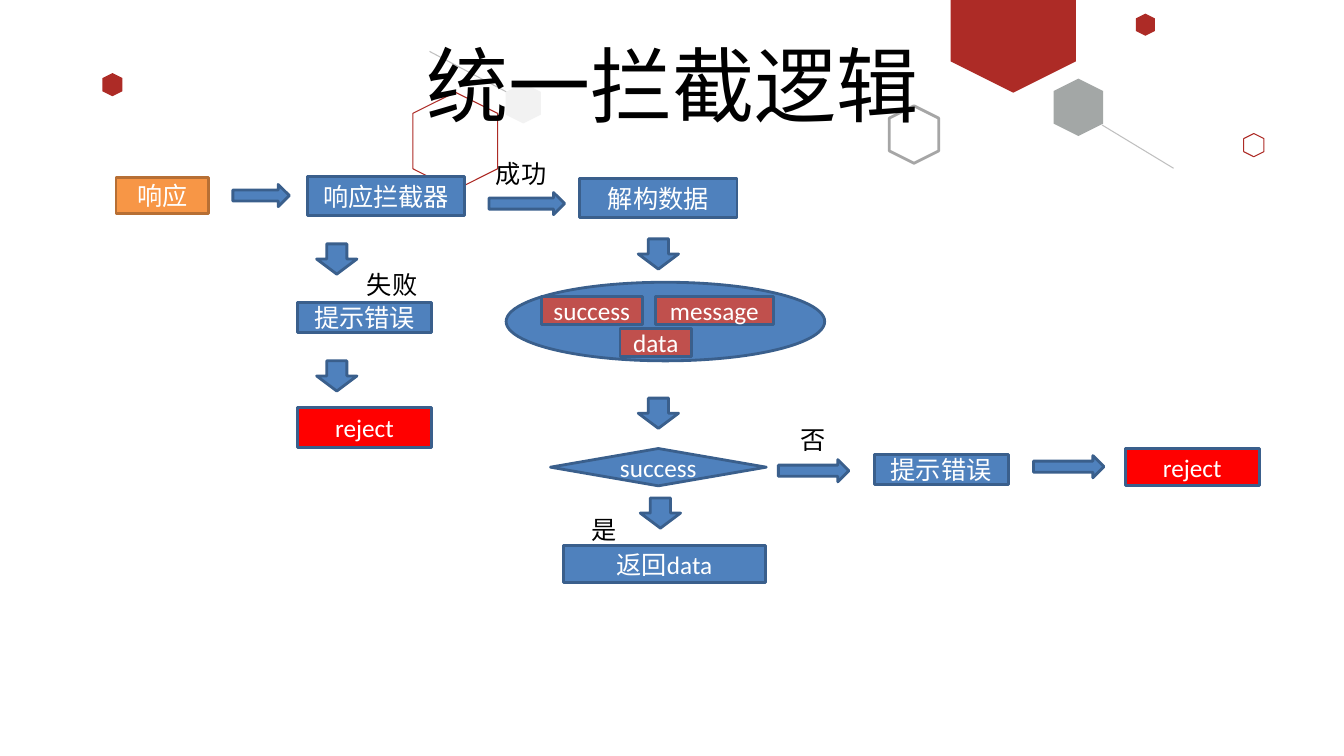
from lxml import etree
from pptx import Presentation
from pptx.dml.color import RGBColor
from pptx.enum.shapes import MSO_CONNECTOR, MSO_SHAPE as SHAPE
from pptx.enum.text import MSO_ANCHOR, PP_ALIGN
from pptx.oxml.ns import qn
from pptx.util import Inches, Pt

WHITE = RGBColor(0xFF, 0xFF, 0xFF)
BLACK = RGBColor(0, 0, 0)
BLUE = RGBColor(0x4F, 0x81, 0xBD)
NAVY = RGBColor(0x3A, 0x5F, 0x8C)
ORANGE = RGBColor(0xF7, 0x96, 0x46)
BROWN = RGBColor(0xB7, 0x6F, 0x34)
BRICK = RGBColor(0xC0, 0x50, 0x4D)
RED = RGBColor(0xFF, 0, 0)
CRIMSON = RGBColor(0xAD, 0x2B, 0x26)
SLATE = RGBColor(0x49, 0x50, 0x4F)
GREY = RGBColor(0xA6, 0xA6, 0xA6)
SILVER = RGBColor(0xBF, 0xBF, 0xBF)
PALE = RGBColor(0xF2, 0xF2, 0xF2)

BODY_FONT = "Calibri"
TITLE_FONT = "Noto Sans CJK JP"


def style(s, fill=None, line=None, width=2):
    s.shadow.inherit = False
    if fill is None:
        s.fill.background()
    else:
        s.fill.solid()
        s.fill.fore_color.rgb = fill
    if line is None:
        s.line.fill.background()
    else:
        s.line.color.rgb = line
        s.line.width = Pt(width)


def write(s, text, color, align, size=18, font=BODY_FONT):
    p = s.text_frame.paragraphs[0]
    p.text = text
    p.alignment = align
    p.font.size = Pt(size)
    p.font.name = font
    p.font.color.rgb = color
    return p


def node(shapes, x, y, w, h, text="", fill=BLUE, line=NAVY, kind=SHAPE.RECTANGLE):
    s = shapes.add_shape(kind, Inches(x), Inches(y), Inches(w), Inches(h))
    style(s, fill, line)
    if text:
        s.text_frame.vertical_anchor = MSO_ANCHOR.MIDDLE
        write(s, text, WHITE, PP_ALIGN.CENTER)
    return s


def right_arrow(shapes, x, y, w, h=0.22):
    return node(shapes, x, y, w, h, kind=SHAPE.RIGHT_ARROW)


def down_arrow(shapes, x, y):
    right_arrow(shapes, x, y, 0.3, 0.4).rotation = 90


def label(shapes, x, y, text):
    s = shapes.add_textbox(Inches(x), Inches(y), Inches(0.2 + 0.255 * len(text)), Inches(0.4))
    s.text_frame.word_wrap = True
    write(s, text, BLACK, PP_ALIGN.LEFT)


def hexagon(shapes, x, y, w, h, fill=None, line=None, width=0.75):
    s = shapes.add_shape(SHAPE.HEXAGON, Inches(x), Inches(y), Inches(w), Inches(h))
    s.rotation = 90
    style(s, fill, line, width)
    return s


def decoration(shapes, width):
    """Hexagons and thin lines across the top band."""
    right, mid, point = width - 2.66, 0.61, 0.92
    left = right - 1.24
    outline = [(right, 0), (right, mid), ((left + right) / 2, point), (left, mid)]
    builder = shapes.build_freeform(Inches(left), 0, scale=1.0)
    builder.add_line_segments([(Inches(x), Inches(y)) for x, y in outline], close=True)
    style(builder.convert_to_shape(), CRIMSON)

    slate = hexagon(shapes, 10.41, 0.82, 0.57, 0.49, SLATE)
    color = slate.fill._xPr.find(qn("a:solidFill"))[0]
    etree.SubElement(color, qn("a:alpha"), val="50000")
    hexagon(shapes, 8.78, 1.09, 0.57, 0.49, line=GREY, width=2)
    hexagon(shapes, 11.25, 0.15, 0.22, 0.19, CRIMSON)
    hexagon(shapes, 4.03, 0.98, 0.97, 0.84, line=CRIMSON)
    hexagon(shapes, 12.32, 1.34, 0.23, 0.2, line=CRIMSON)
    hexagon(shapes, 1, 0.74, 0.23, 0.2, CRIMSON)
    hexagon(shapes, 4.99, 0.85, 0.4, 0.35, PALE)

    for ends in [(10.93, 1.24, 11.64, 1.67), (4.26, 0.51, 5.02, 0.91)]:
        c = shapes.add_connector(MSO_CONNECTOR.STRAIGHT, *map(Inches, ends))
        c.line.color.rgb = SILVER
        c.line.width = Pt(0.75)
        etree.SubElement(c._element.spPr, qn("a:effectLst"))


def title(shapes, x, y, w, h):
    s = shapes.add_textbox(Inches(x), Inches(y), Inches(w), Inches(h))
    s.text_frame.word_wrap = True
    p = write(s, "统一拦截逻辑", BLACK, PP_ALIGN.CENTER, 58.6, TITLE_FONT)
    p.line_spacing = 0.9
    r_pr = p.runs[0]._r.get_or_add_rPr()
    etree.SubElement(r_pr, qn("a:ea"), typeface=TITLE_FONT)


def response_row(shapes, x, y):
    node(shapes, x, y + 0.01, 0.92, 0.36, "响应", ORANGE, BROWN)
    right_arrow(shapes, x + 1.16, y + 0.08, 0.56)
    node(shapes, x + 1.9, y, 1.56, 0.39, "响应拦截器")
    right_arrow(shapes, x + 3.7, y + 0.16, 0.75)
    label(shapes, x + 3.67, y - 0.23, "成功")
    node(shapes, x + 4.6, y + 0.02, 1.56, 0.39, "解构数据")


def failure_column(shapes, x, y):
    down_arrow(shapes, x + 0.24, y)
    label(shapes, x + 0.59, y + 0.25, "失败")
    node(shapes, x, y + 0.63, 1.33, 0.3, "提示错误")
    down_arrow(shapes, x + 0.24, y + 1.16)
    node(shapes, x, y + 1.67, 1.33, 0.4, "reject", RED)


def data_fields(shapes, x, y):
    """Ellipse holding the three response fields, with arrows in and out."""
    down_arrow(shapes, x + 1.36, y - 0.48)
    group = shapes.add_group_shape().shapes
    node(group, x, y, 3.16, 0.78, kind=SHAPE.OVAL)
    for dx, dy, w, field in [(0.35, 0.14, 1, "success"), (1.48, 0.14, 1.17, "message"),
                             (1.13, 0.46, 0.71, "data")]:
        node(group, x + dx, y + dy, w, 0.28, field, BRICK)
    down_arrow(shapes, x + 1.36, y + 1.1)


def decision(shapes, x, y):
    """Success check with its yes branch below and no branch to the right."""
    node(shapes, x, y, 2.14, 0.37, "success", kind=SHAPE.FLOWCHART_DECISION)
    down_arrow(shapes, x + 0.94, y + 0.44)
    label(shapes, x + 0.31, y + 0.6, "是")
    node(shapes, x + 0.13, y + 0.96, 2, 0.37, "返回data")
    label(shapes, x + 2.38, y - 0.29, "否")
    right_arrow(shapes, x + 2.26, y + 0.11, 0.7)
    node(shapes, x + 3.21, y + 0.06, 1.33, 0.3, "提示错误")
    right_arrow(shapes, x + 4.79, y + 0.07, 0.7)
    node(shapes, x + 5.7, y, 1.33, 0.37, "reject", RED)


def main():
    prs = Presentation()
    prs.slide_width, prs.slide_height = Inches(13.33), Inches(7.5)
    shapes = prs.slides.add_slide(prs.slide_layouts[6]).shapes
    decoration(shapes, 13.33)
    title(shapes, 0.92, 0.4, 11.5, 1.45)
    response_row(shapes, 1.15, 1.75)
    data_fields(shapes, 5.02, 2.8)
    decision(shapes, 5.46, 4.45)
    failure_column(shapes, 2.95, 2.37)
    prs.save("out.pptx")


if __name__ == "__main__":
    main()
